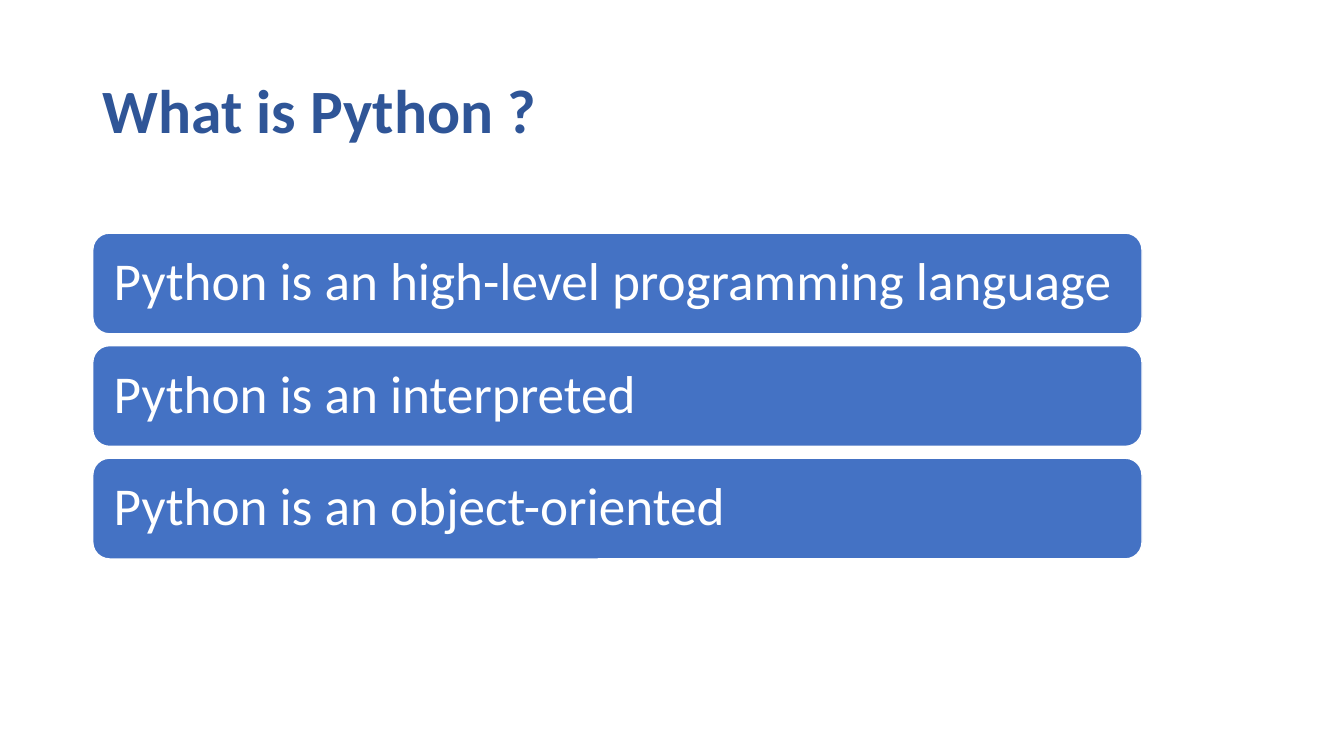
from pptx import Presentation
from pptx.dml.color import RGBColor
from pptx.enum import shapes, text
from pptx.util import Pt

HUES = {"title": "2F5597", "bar": "4472C4", "white": "FFFFFF"}
FACTS = [
    "Python is an high-level programming language",
    "Python is an interpreted",
    "Python is an object-oriented",
]
LEFT, TOP, WIDTH, HEIGHT, STEP = 66.24, 166.5, 749.5, 72, 80.4


def style(para, size, hue):
    para.alignment = text.PP_ALIGN.LEFT
    para.line_spacing = 0.9
    para.font.name = "Calibri"
    para.font.size = Pt(size)
    para.font.color.rgb = RGBColor.from_string(HUES[hue])


deck = Presentation()
deck.slide_width, deck.slide_height = Pt(960), Pt(540)
slide = deck.slides.add_slide(deck.slide_layouts[5])

title = slide.shapes.title
title.left, title.top = Pt(LEFT), Pt(28.8)
title.width, title.height = Pt(828), Pt(104.4)
title.text_frame.text = "What is Python ?"
title.text_frame.vertical_anchor = text.MSO_ANCHOR.MIDDLE
head = title.text_frame.paragraphs[0]
style(head, 44, "title")
head.font.bold = True

for row, fact in enumerate(FACTS):
    bar = slide.shapes.add_shape(
        shapes.MSO_SHAPE.ROUNDED_RECTANGLE,
        Pt(LEFT), Pt(TOP + row * STEP), Pt(WIDTH), Pt(HEIGHT),
    )
    bar.shadow.inherit = False
    bar.fill.solid()
    bar.fill.fore_color.rgb = RGBColor.from_string(HUES["bar"])
    bar.line.color.rgb = RGBColor.from_string(HUES["white"])
    bar.line.width = Pt(1)
    frame = bar.text_frame
    frame.word_wrap = True
    frame.vertical_anchor = text.MSO_ANCHOR.MIDDLE
    frame.margin_left = frame.margin_right = Pt(11.5)
    frame.text = fact
    style(frame.paragraphs[0], 38, "white")

deck.save("out.pptx")
